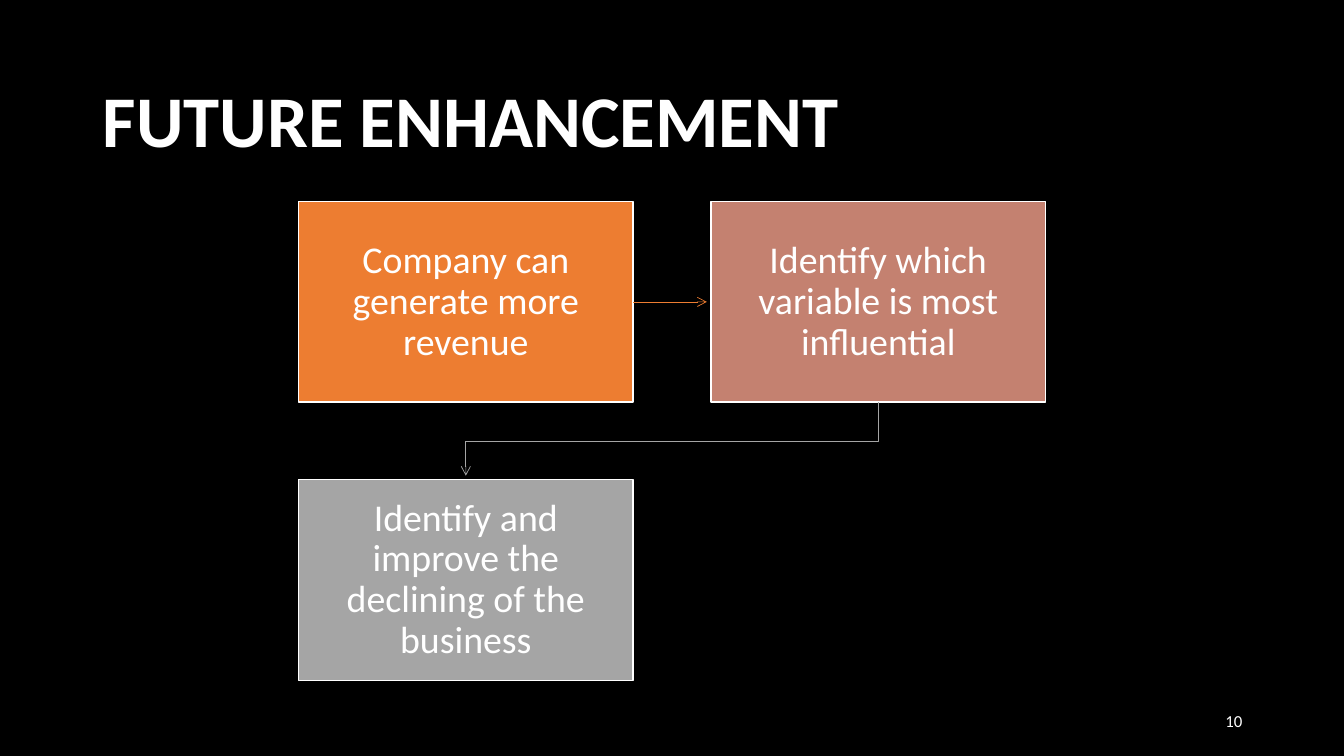
from dataclasses import dataclass
from itertools import pairwise

from lxml.etree import SubElement
from pptx import Presentation
from pptx.dml.color import RGBColor
from pptx.enum.shapes import MSO_CONNECTOR, MSO_SHAPE
from pptx.enum.text import MSO_ANCHOR, MSO_AUTO_SIZE, PP_ALIGN
from pptx.oxml.ns import qn
from pptx.util import Inches, Pt


@dataclass(frozen=True)
class Theme:
    font: str = "Calibri"
    background: str = "000000"
    text: str = "FFFFFF"
    orange: str = "ED7D31"
    rose: str = "C48170"
    gray: str = "A5A5A5"
    title_size: int = 52
    step_size: int = 27
    number_size: int = 12


@dataclass(frozen=True)
class Grid:
    left: float = 2.96
    top: float = 2.0
    width: float = 3.32
    height: float = 1.99
    column_pitch: float = 4.09
    row_pitch: float = 2.76
    arrow_gap: float = 0.04

    def cell(self, column, row):
        return (self.left + column * self.column_pitch,
                self.top + row * self.row_pitch, self.width, self.height)


def apply_format(target, values):
    for name, value in values.items():
        setattr(target, name, value)


class SlideBuilder:
    def __init__(self, deck, theme):
        self.theme = theme
        self.page = deck.slides.add_slide(deck.slide_layouts[5])
        fill = self.page.background.fill
        fill.solid()
        fill.fore_color.rgb = RGBColor.from_string(theme.background)

    def set_text(self, shape, text, size, align, bold=False, spacing=1.0, inset=None):
        frame = shape.text_frame
        apply_format(frame, {"word_wrap": True, "auto_size": MSO_AUTO_SIZE.NONE,
                             "vertical_anchor": MSO_ANCHOR.MIDDLE})
        if inset:
            side, edge = map(Inches, inset)
            apply_format(frame, {"margin_left": side, "margin_right": side,
                                 "margin_top": edge, "margin_bottom": edge})
        para = frame.paragraphs[0]
        apply_format(para, {"alignment": align, "line_spacing": spacing})
        span = para.add_run()
        span.text = text
        apply_format(span.font, {"name": self.theme.font, "size": Pt(size), "bold": bold})
        span.font.color.rgb = RGBColor.from_string(self.theme.text)

    def title(self, text, place):
        shape = self.page.shapes.title
        apply_format(shape, dict(zip(("left", "top", "width", "height"),
                                     map(Inches, place))))
        self.set_text(shape, text, self.theme.title_size, PP_ALIGN.LEFT,
                      bold=True, spacing=0.9)

    def step(self, text, color, place):
        box = self.page.shapes.add_shape(MSO_SHAPE.RECTANGLE, *map(Inches, place))
        box.shadow.inherit = False
        box.fill.solid()
        box.fill.fore_color.rgb = RGBColor.from_string(color)
        box.line.color.rgb = RGBColor.from_string(self.theme.text)
        box.line.width = Pt(1)
        self.set_text(box, text, self.theme.step_size, PP_ALIGN.CENTER,
                      spacing=0.9, inset=(0.16, 0.17))

    def arrow(self, points, color):
        points = [(Inches(x), Inches(y)) for x, y in points]
        if len(points) == 2:
            start, end = points
            line = self.page.shapes.add_connector(MSO_CONNECTOR.STRAIGHT, *start, *end)
        else:
            outline = self.page.shapes.build_freeform(*points[0])
            outline.add_line_segments(points[1:], close=False)
            line = outline.convert_to_shape()
            line.fill.background()
        line.line.color.rgb = RGBColor.from_string(color)
        line.line.width = Pt(0.5)
        properties = line.element.spPr
        SubElement(properties.find(qn("a:ln")), qn("a:tailEnd"), type="arrow")
        SubElement(properties, qn("a:effectLst"))

    def number(self, text, place):
        box = self.page.shapes.add_textbox(*map(Inches, place))
        self.set_text(box, text, self.theme.number_size, PP_ALIGN.RIGHT)


def route(grid, start, end):
    """Points from one cell to the next, along a row or down to a new row."""
    left, top, width, height = grid.cell(*start)
    next_left, next_top, _, _ = grid.cell(*end)
    if start[1] == end[1]:
        middle = top + height / 2
        return [(left + width, middle), (next_left - grid.arrow_gap, middle)]
    center, next_center = left + width / 2, next_left + width / 2
    bottom = top + height
    turn = (bottom + next_top) / 2
    return [(center, bottom), (center, turn), (next_center, turn),
            (next_center, next_top - grid.arrow_gap)]


def main():
    deck = Presentation()
    apply_format(deck, {"slide_width": Inches(13.33), "slide_height": Inches(7.5)})
    theme, grid = Theme(), Grid()
    builder = SlideBuilder(deck, theme)

    # Title
    builder.title("FUTURE ENHANCEMENT", (0.92, 0.61, 11.5, 1.24))

    # Steps, two to a row, and the arrows between them
    steps = [
        ("Company can generate more revenue", theme.orange),
        ("Identify which variable is most influential", theme.rose),
        ("Identify and improve the declining of the business", theme.gray),
    ]
    cells = [(index % 2, index // 2) for index in range(len(steps))]
    for (text, color), cell in zip(steps, cells):
        builder.step(text, color, grid.cell(*cell))
    for (start, end), color in zip(pairwise(cells), (theme.orange, theme.gray)):
        builder.arrow(route(grid, start, end), color)

    # Slide number
    builder.number("10", (9.42, 6.95, 3, 0.4))

    deck.save("out.pptx")


if __name__ == "__main__":
    main()
